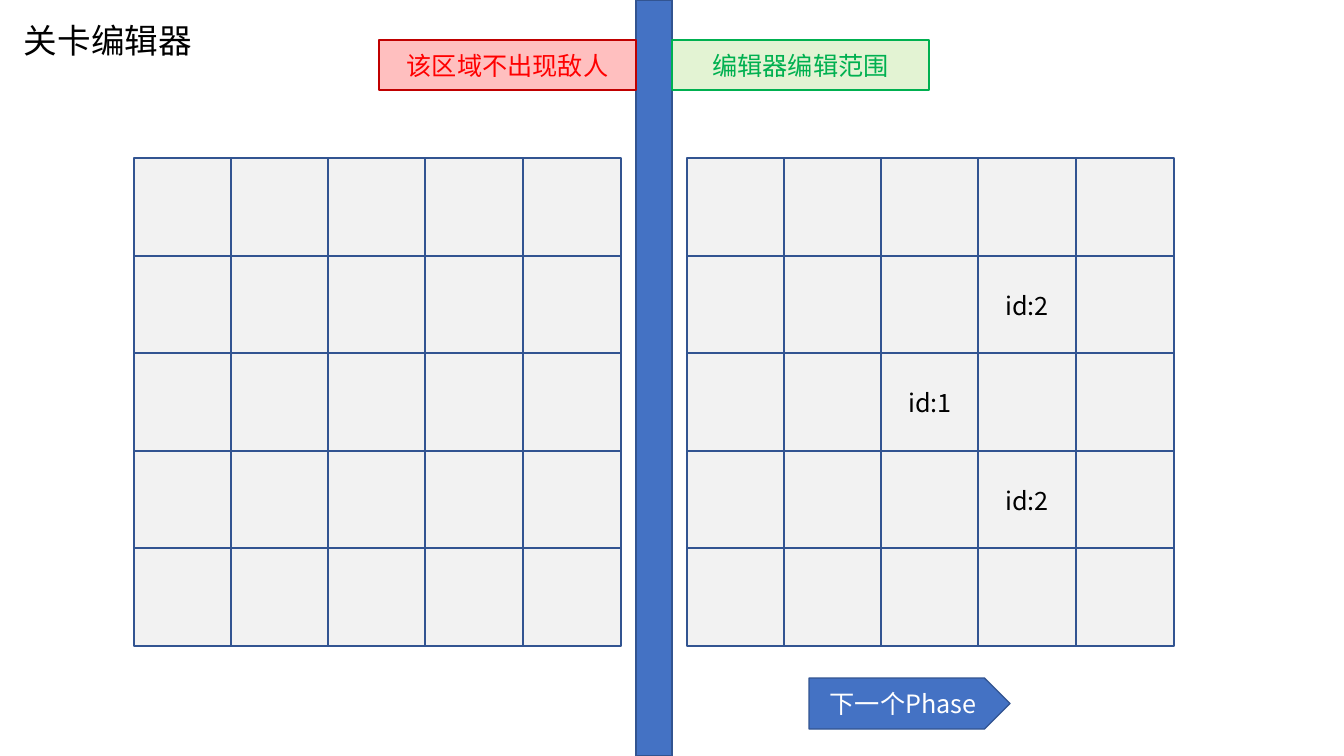
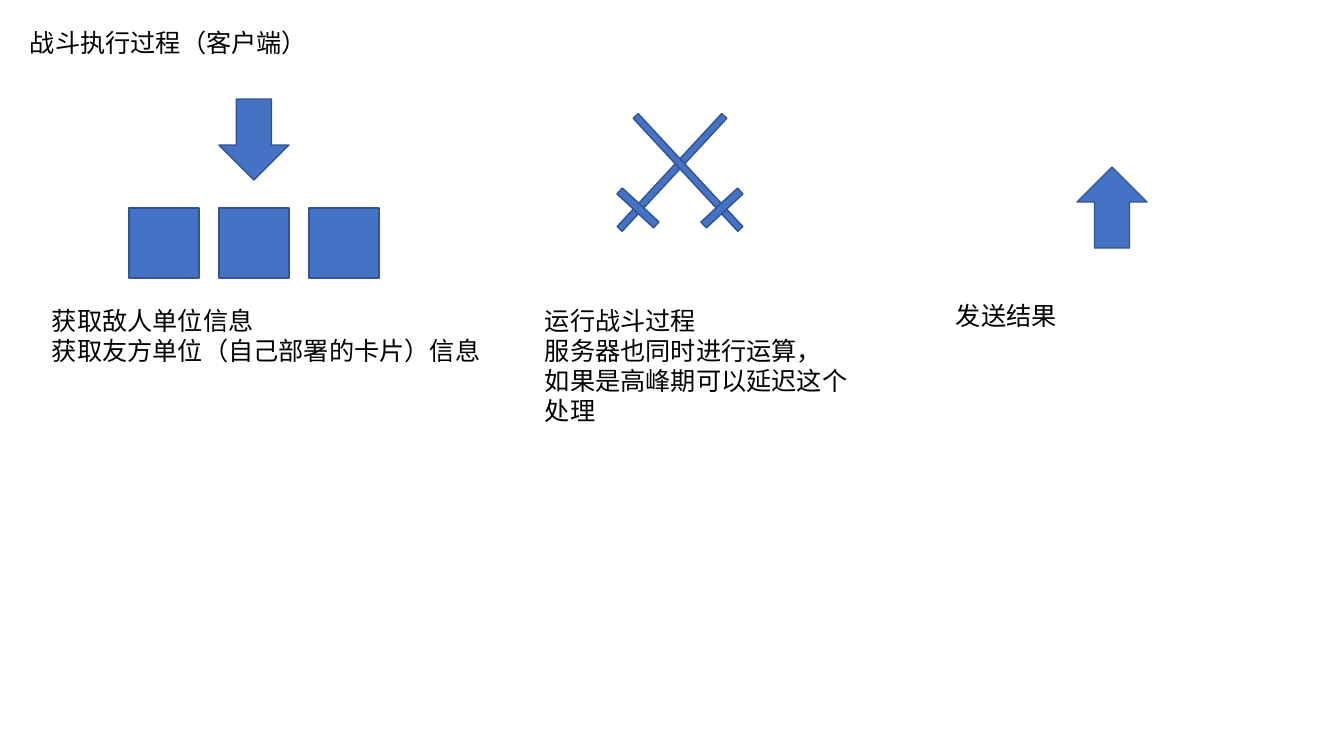
from dataclasses import dataclass
from itertools import product

from lxml.etree import SubElement
from pptx import Presentation
from pptx.dml.color import RGBColor
from pptx.enum.shapes import MSO_SHAPE as Preset
from pptx.enum.text import MSO_ANCHOR as Anchor, MSO_AUTO_SIZE as AutoSize, PP_ALIGN as Align
from pptx.oxml.ns import qn
from pptx.shapes.autoshape import Shape
from pptx.slide import Slide
from pptx.text.text import TextFrame
from pptx.util import Emu, Pt

WIDTH, HEIGHT = 1344, 756
EMU_PER_PX = 12192000 / WIDTH
FONT = "Noto Sans CJK SC"
BLACK, WHITE = "000000", "FFFFFF"
BLUE, NAVY, GRAY = "4472C4", "325491", "F2F2F2"

GRID_SIZE = 5
GRID_TOP = 158
CELL = 98
GRID_LEFTS = (134, 687)
SWORD_AXIS = 680


@dataclass(frozen=True)
class Box:
    left: int
    top: int
    width: int
    height: int


@dataclass(frozen=True)
class ZoneLabel:
    text: str
    left: int
    fill: str
    accent: str


@dataclass(frozen=True)
class Caption:
    text: str
    box: Box
    size: int = 18
    wrap: bool = True


@dataclass(frozen=True)
class SwordPart:
    offset: int
    top: int
    width: int
    height: int
    angle: float


ZONES = (
    ZoneLabel("该区域不出现敌人", 379, "FF0000", "C00000"),
    ZoneLabel("编辑器编辑范围", 672, "92D050", "00B050"),
)
ZONE_TEXT_COLORS = ("FF0000", "00B050")
ENEMY_IDS = {(1, 3): "id:2", (2, 2): "id:1", (3, 3): "id:2"}
EDITOR_TITLE = Caption("关卡编辑器", Box(14, 15, 190, 50), size=24, wrap=False)
BATTLE_CAPTIONS = (
    Caption("战斗执行过程（客户端）", Box(20, 22, 300, 40), wrap=False),
    Caption("获取敌人单位信息\n获取友方单位（自己部署的卡片）信息", Box(42, 300, 478, 72)),
    Caption("运行战斗过程\n服务器也同时进行运算，\n如果是高峰期可以延迟这个处理", Box(535, 300, 331, 132)),
    Caption("发送结果", Box(946, 295, 331, 40)),
)
SWORD = (SwordPart(8, 169, 154, 7, 47.2), SwordPart(42, 204, 50, 8, -42.8))


def px(length: int) -> Emu:
    return Emu(round(length * EMU_PER_PX))


def rgb(color: str) -> RGBColor:
    return RGBColor.from_string(color)


def place(box: Box) -> tuple[Emu, Emu, Emu, Emu]:
    return px(box.left), px(box.top), px(box.width), px(box.height)


def write(frame: TextFrame, text: str, *, size: int = 18, color: str = BLACK,
          align: Align = Align.LEFT, anchor: Anchor = Anchor.TOP, wrap: bool = True) -> None:
    frame.word_wrap = wrap
    frame.vertical_anchor = anchor
    frame.text = text
    for paragraph in frame.paragraphs:
        paragraph.alignment = align
        for run in paragraph.runs:
            run.font.size = Pt(size)
            run.font.color.rgb = rgb(color)
            run.font.name = FONT
            SubElement(run.font._element, qn("a:ea"), typeface=FONT)


def add_caption(slide: Slide, caption: Caption) -> None:
    frame = slide.shapes.add_textbox(*place(caption.box)).text_frame
    write(frame, caption.text, size=caption.size, wrap=caption.wrap)
    frame.auto_size = AutoSize.SHAPE_TO_FIT_TEXT


def add_figure(shapes, box: Box, *, preset: Preset = Preset.RECTANGLE, fill: str = BLUE,
               opacity: int = 100, outline: str = NAVY, angle: float = 0,
               text: str = "", color: str = BLACK) -> Shape:
    figure = shapes.add_shape(preset, *place(box))
    figure.shadow.inherit = False
    figure.fill.solid()
    figure.fill.fore_color.rgb = rgb(fill)
    if opacity < 100:
        tint = figure._element.spPr.find(qn("a:solidFill"))[0]
        SubElement(tint, qn("a:alpha"), val=str(opacity * 1000))
    figure.line.color.rgb = rgb(outline)
    figure.line.width = Pt(1)
    figure.rotation = angle
    if text:
        write(figure.text_frame, text, color=color, align=Align.CENTER, anchor=Anchor.MIDDLE)
    return figure


def add_grid(slide: Slide, left: int, labels: dict[tuple[int, int], str]) -> None:
    for row, column in product(range(GRID_SIZE), repeat=2):
        cell = Box(left + column * 389 // 4, GRID_TOP + (row * 195 + 1) // 2, CELL, CELL)
        add_figure(slide.shapes, cell, fill=GRAY, text=labels.get((row, column), ""))


def add_sword(slide: Slide, side: int) -> None:
    sword = slide.shapes.add_group_shape()
    for part in SWORD:
        left = SWORD_AXIS + side * part.offset - part.width // 2
        add_figure(sword.shapes, Box(left, part.top, part.width, part.height),
                   angle=side * part.angle)


def build_editor(slide: Slide) -> None:
    add_caption(slide, EDITOR_TITLE)
    for left, labels in zip(GRID_LEFTS, ({}, ENEMY_IDS)):
        add_grid(slide, left, labels)
    add_figure(slide.shapes, Box(636, 0, 36, HEIGHT))
    for zone, color in zip(ZONES, ZONE_TEXT_COLORS):
        add_figure(slide.shapes, Box(zone.left, 40, 257, 50), fill=zone.fill, opacity=25,
                   outline=zone.accent, text=zone.text, color=color)
    add_figure(slide.shapes, Box(809, 678, 201, 51), preset=Preset.PENTAGON,
               text="下一个Phase", color=WHITE)


def build_battle(slide: Slide) -> None:
    for caption in BATTLE_CAPTIONS:
        add_caption(slide, caption)
    for unit in range(3):
        add_figure(slide.shapes, Box(129 + unit * 90, 208, 70, 70))
    add_figure(slide.shapes, Box(219, 99, 70, 81), preset=Preset.DOWN_ARROW)
    for side in (-1, 1):
        add_sword(slide, side)
    add_figure(slide.shapes, Box(1077, 167, 70, 81), preset=Preset.DOWN_ARROW, angle=180)


def main() -> None:
    deck = Presentation()
    deck.slide_width, deck.slide_height = px(WIDTH), px(HEIGHT)
    for build in (build_editor, build_battle):
        build(deck.slides.add_slide(deck.slide_layouts[6]))
    deck.save("out.pptx")


if __name__ == "__main__":
    main()
